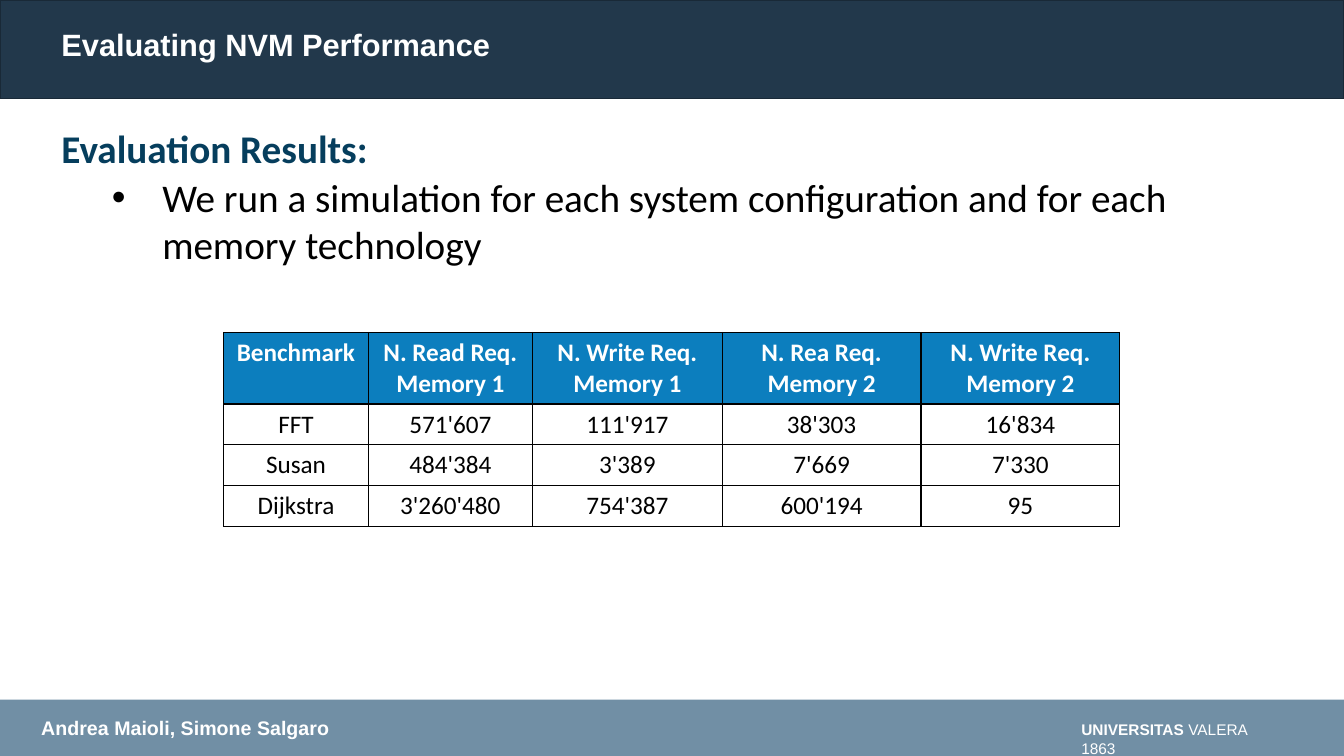
from pptx import Presentation
from pptx.dml.color import RGBColor
from pptx.enum import shapes, text
from pptx.oxml import parse_xml
from pptx.oxml.ns import nsdecls
from pptx.util import Cm, Pt

HUES = {"head": "22384B", "edge": "192937", "foot": "718FA5", "blue": "0C7EBE",
        "navy": "063E5D", "white": "FFFFFF", "black": "000000"}

BARS = [("foot", 17.63, 1.42, None), ("head", 0, 2.49, "edge")]

LABELS = [
    ((27, 18.03, 5.56, 0.74), 11, [("UNIVERSITAS", True), (" VALERA 1863", False)]),
    ((0.79, 17.91, 7.77, 0.86), 14, [("Andrea Maioli, Simone Salgaro", True)]),
    ((1.3, 0.64, 15.62, 0.91), 22, [("Evaluating NVM Performance", True)]),
]

TOPIC = "Evaluation Results:"
POINT = "We run a simulation for each system configuration and for each memory technology"

ROWS = [
    ["Benchmark", "N. Read Req. Memory 1", "N. Write Req. Memory 1",
     "N. Rea Req. Memory 2", "N. Write Req. Memory 2"],
    ["FFT", "571'607", "111'917", "38'303", "16'834"],
    ["Susan", "484'384", "3'389", "7'669", "7'330"],
    ["Dijkstra", "3'260'480", "754'387", "600'194", "95"],
]
WIDTHS = [3.64, 4.14, 4.78, 5.01, 5.01]
TALLS = [1.8] + [1.03] * 3


def tint(name):
    return RGBColor.from_string(HUES[name])


def write(par, words, size, hue, bold, face):
    run = par.add_run()
    run.text = words
    font = run.font
    font.name, font.size, font.bold = face, Pt(size), bold
    font.color.rgb = tint(hue)


def frame(slide, box):
    body = slide.shapes.add_textbox(*map(Cm, box)).text_frame
    body.word_wrap = True
    return body


def add_bars(slide):
    for hue, top, tall, edge in BARS:
        bar = slide.shapes.add_shape(
            shapes.MSO_SHAPE.RECTANGLE, 0, Cm(top), Cm(33.87), Cm(tall))
        bar.shadow.inherit = False
        bar.fill.solid()
        bar.fill.fore_color.rgb = tint(hue)
        if edge:
            bar.line.color.rgb = tint(edge)
            bar.line.width = Pt(1)
        else:
            bar.line.fill.background()


def add_labels(slide):
    for box, size, runs in LABELS:
        par = frame(slide, box).paragraphs[0]
        if size == 22:
            par.line_spacing = 0.9
        for words, bold in runs:
            write(par, words, size, "white", bold, "Arial")


def add_body(slide):
    body = frame(slide, (1.3, 3.02, 31.85, 4.2))
    write(body.paragraphs[0], TOPIC, 28, "navy", True, "Calibri")
    par = body.add_paragraph()
    par.space_before = Pt(1.2)
    write(par, POINT, 28, "black", False, "Calibri")
    props = par._p.get_or_add_pPr()
    props.set("marL", str(Cm(2.54)))
    props.set("indent", str(-Cm(1.27)))
    props.append(parse_xml(f'<a:buFont {nsdecls("a")} typeface="Arial"/>'))
    props.append(parse_xml(f'<a:buChar {nsdecls("a")} char="•"/>'))


def rule(cell):
    props = cell._tc.get_or_add_tcPr()
    for spot, side in enumerate(("lnL", "lnR", "lnT", "lnB")):
        props.insert(spot, parse_xml(
            f'<a:{side} {nsdecls("a")} w="{Pt(1)}"><a:solidFill>'
            f'<a:srgbClr val="{HUES["black"]}"/></a:solidFill></a:{side}>'))


def add_grid(slide):
    grid = slide.shapes.add_table(
        len(ROWS), len(WIDTHS), Cm(5.64), Cm(8.38),
        Cm(sum(WIDTHS)), Cm(sum(TALLS))).table
    grid.horz_banding = False
    for col, wide in zip(grid.columns, WIDTHS):
        col.width = Cm(wide)
    for r, (row, tall) in enumerate(zip(ROWS, TALLS)):
        grid.rows[r].height = Cm(tall)
        for c, words in enumerate(row):
            cell = grid.cell(r, c)
            if r == 0:
                cell.fill.solid()
                cell.fill.fore_color.rgb = tint("blue")
            else:
                cell.fill.background()
            rule(cell)
            par = cell.text_frame.paragraphs[0]
            par.alignment = text.PP_ALIGN.CENTER
            write(par, words, 18, "black" if r else "white", r == 0, "Calibri")


def main():
    deck = Presentation()
    deck.slide_width, deck.slide_height = Cm(33.87), Cm(19.05)
    slide = deck.slides.add_slide(deck.slide_layouts[6])
    add_bars(slide)
    add_labels(slide)
    add_body(slide)
    add_grid(slide)
    deck.save("out.pptx")


if __name__ == "__main__":
    main()
